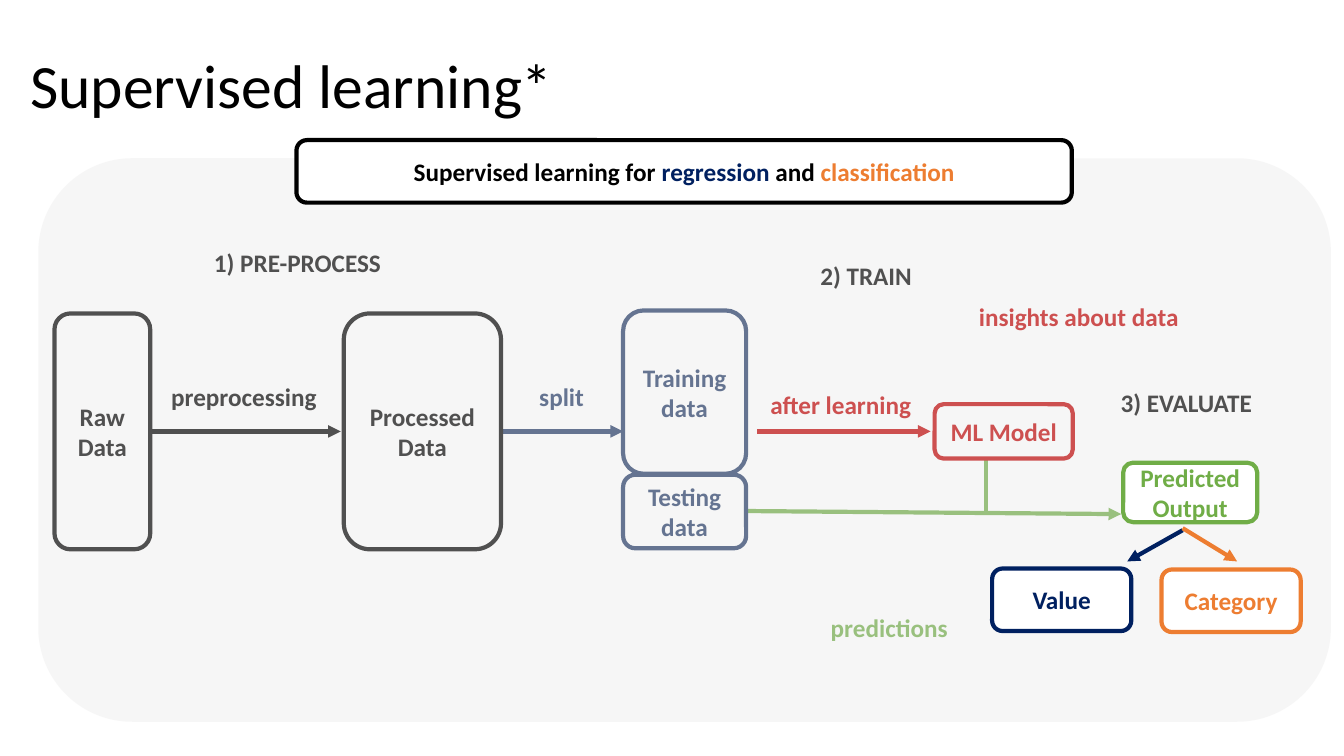
import pptx
import pptx.util
import pptx.dml.color
import pptx.enum.shapes
import pptx.enum.text
import pptx.oxml
import pptx.oxml.ns
from pptx.util import Inches

RGBColor = pptx.dml.color.RGBColor
SHAPE = pptx.enum.shapes.MSO_SHAPE
BLACK = RGBColor(0x00, 0x00, 0x00)
WHITE = RGBColor(0xFF, 0xFF, 0xFF)
GREY = RGBColor(0xE7, 0xE6, 0xE6)
RED = RGBColor(0xC0, 0x00, 0x00)
GREEN = RGBColor(0x70, 0xAD, 0x47)
SLATE = RGBColor(0x20, 0x38, 0x64)
NAVY = RGBColor(0x00, 0x20, 0x60)
ORANGE = RGBColor(0xED, 0x7D, 0x31)

# Content: boxes are (text, colour, left, top, width, height)
TITLE = "Supervised learning*"
FLOW_Y = 4.28
LABEL_H = 0.54
PANEL = (0.38, 1.57, 12.82, 5.59)
PANEL_OPACITY = 35

PIPELINE_BOXES = [
    ("ML Model", RED, 9.27, 4.01, 1.37, 0.54),
    ("Raw\vData", BLACK, 0.54, 3.11, 0.95, 2.34),
    ("Processed\vData", BLACK, 3.41, 3.11, 1.56, 2.34),
    ("Testing data", SLATE, 6.18, 4.71, 1.22, 0.73),
    ("Training data", SLATE, 6.18, 3.08, 1.22, 1.62),
]
# Labels are (text, colour, left, top, width)
LABELS = [
    ("after learning", RED, 7.41, 3.74, 1.86),
    ("preprocessing", BLACK, 1.49, 3.66, 1.86),
    ("split", SLATE, 4.9, 3.66, 1.34),
    ("1) PRE-PROCESS", BLACK, 1.69, 2.33, 2.52),
    ("2) TRAIN", BLACK, 7.92, 2.46, 1.34),
    ("3) EVALUATE", BLACK, 10.92, 3.72, 1.69),
    ("insights about data", RED, 9.51, 2.87, 2.38),
    ("predictions", GREEN, 7.63, 5.95, 2.38),
]
# Lines are (colour, x1, y1, x2, y2, has arrowhead)
PIPELINE_LINES = [
    (RED, 7.51, FLOW_Y, 9.23, FLOW_Y, True),
    (GREEN, 7.4, 5.07, 11.12, 5.1, True),
    (BLACK, 1.49, FLOW_Y, 3.38, FLOW_Y, True),
    (SLATE, 4.97, FLOW_Y, 6.18, FLOW_Y, True),
    (GREEN, 9.78, 4.56, 9.78, 5.09, False),
]
OUTPUT_LINES = [
    (NAVY, 11.73, 5.26, 11.18, 5.57, True),
    (ORANGE, 11.73, 5.24, 12.27, 5.57, True),
]
OUTPUT_BOXES = [
    ("Predicted Output", GREEN, 11.14, 4.59, 1.33, 0.59),
    ("Value", NAVY, 9.84, 5.64, 1.38, 0.62),
    ("Category", ORANGE, 11.52, 5.65, 1.38, 0.62),
]
BANNER = (2.94, 1.39, 7.69, 0.62)
BANNER_RUNS = [("Supervised learning for", BLACK), (" regression ", NAVY),
               ("and ", BLACK), ("classification", ORANGE)]


def format_font(font, size, color, bold):
    font.name = "Calibri"
    font.size = pptx.util.Pt(size)
    font.bold = bold
    font.color.rgb = color


def add_round(s, place, fill=None, line=None):
    sp = s.shapes.add_shape(SHAPE.ROUNDED_RECTANGLE, *map(Inches, place))
    sp.shadow.inherit = False
    if fill is None:
        sp.fill.background()
    else:
        sp.fill.solid()
        sp.fill.fore_color.rgb = fill
    if line is None:
        sp.line.fill.background()
    else:
        sp.line.color.rgb = line
        sp.line.width = pptx.util.Pt(3)
    return sp


def write_runs(sp, runs):
    tf = sp.text_frame
    tf.word_wrap = True
    tf.vertical_anchor = pptx.enum.text.MSO_ANCHOR.MIDDLE
    p = tf.paragraphs[0]
    p.alignment = pptx.enum.text.PP_ALIGN.CENTER
    if len(runs) == 1:
        p.text = runs[0][0]
        for r in p.runs:
            format_font(r.font, 18, runs[0][1], True)
        return
    for text, color in runs:
        r = p.add_run()
        r.text = text
        format_font(r.font, 18, color, True)


def add_boxes(s, boxes):
    for text, color, *place in boxes:
        write_runs(add_round(s, place, WHITE, color), [(text, color)])


def add_lines(s, lines):
    for color, x1, y1, x2, y2, arrow in lines:
        c = s.shapes.add_connector(pptx.enum.shapes.MSO_CONNECTOR.STRAIGHT,
                                   *map(Inches, (x1, y1, x2, y2)))
        c.line.color.rgb = color
        c.line.width = pptx.util.Pt(3)
        if arrow:
            head = pptx.oxml.ns.qn("a:tailEnd")
            c.line._get_or_add_ln().append(
                pptx.oxml.xmlchemy.OxmlElement("a:tailEnd"))
            c.line._get_or_add_ln().find(head).set("type", "triangle")
        c._element.spPr.append(pptx.oxml.xmlchemy.OxmlElement("a:effectLst"))


prs = pptx.Presentation()
prs.slide_width, prs.slide_height = Inches(13.33), Inches(7.5)
s = prs.slides.add_slide(prs.slide_layouts[6])

# Title
tb = s.shapes.add_textbox(*map(Inches, (0.2, 0.15, 12.92, 1.45)))
tf = tb.text_frame
tf.word_wrap = True
tf.vertical_anchor = pptx.enum.text.MSO_ANCHOR.MIDDLE
tf.text = TITLE
tf.paragraphs[0].line_spacing = 0.9
format_font(tf.paragraphs[0].runs[0].font, 44, BLACK, False)

# Pipeline, toned down by the translucent panel over it
add_lines(s, PIPELINE_LINES)
add_boxes(s, PIPELINE_BOXES)
for text, color, left, top, width in LABELS:
    write_runs(add_round(s, (left, top, width, LABEL_H)), [(text, color)])

panel = add_round(s, PANEL, GREY)
alpha = pptx.oxml.xmlchemy.OxmlElement("a:alpha")
alpha.set("val", str(PANEL_OPACITY * 1000))
panel._element.spPr.find(".//" + pptx.oxml.ns.qn("a:srgbClr")).append(alpha)

# Predicted output and banner, above the panel
add_lines(s, OUTPUT_LINES)
add_boxes(s, OUTPUT_BOXES)
write_runs(add_round(s, BANNER, WHITE, BLACK), BANNER_RUNS)

prs.save("out.pptx")
